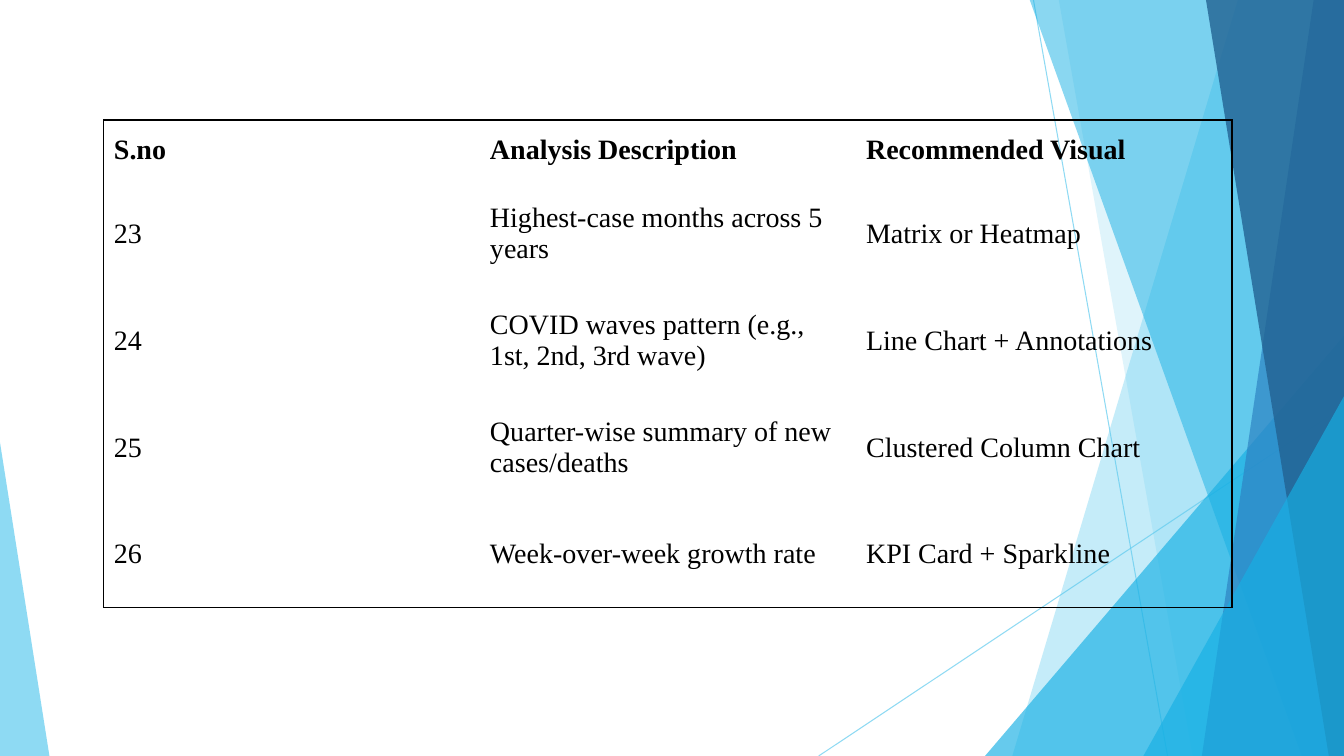
"""Build a slide with a table of recommended visuals over a faceted blue backdrop."""

from dataclasses import dataclass

from lxml.etree import SubElement
from pptx import Presentation
from pptx.dml.color import RGBColor
from pptx.enum.shapes import MSO_CONNECTOR, MSO_SHAPE
from pptx.enum.text import MSO_ANCHOR
from pptx.oxml.ns import qn
from pptx.shapes.autoshape import Shape
from pptx.shapes.connector import Connector
from pptx.slide import Slide
from pptx.table import _Cell
from pptx.util import Inches, Pt

SKY = RGBColor(0x5F, 0xCB, 0xEF)
CYAN = RGBColor(0x17, 0xB0, 0xE4)
BLUE = RGBColor(0x2E, 0x83, 0xC3)
NAVY = RGBColor(0x22, 0x62, 0x92)
BLACK = RGBColor(0, 0, 0)

WIDTH, HEIGHT = 13.33, 7.5
SHARD_TOP = -0.01
FONT = "Times New Roman"
COL_WIDTH = 3.73
HEADER_HEIGHT, ROW_HEIGHT = 0.6, 1.06


@dataclass(frozen=True)
class Ray:
    x1: float
    y1: float
    x2: float
    y2: float


@dataclass(frozen=True)
class Shard:
    top_x: float
    bottom_x: float
    color: RGBColor
    opacity: int


@dataclass(frozen=True)
class Corner:
    left: float
    top: float
    width: float
    apex: float
    color: RGBColor
    opacity: int


RAYS = [Ray(10.25, 0, 11.58, HEIGHT), Ray(WIDTH, 4.03, 8.12, HEIGHT)]

FACETS: list[Shard | Corner] = [
    Shard(12.28, 10.04, SKY, 36),
    Shard(10.5, 11.83, SKY, 20),
    Corner(9.77, 3.33, 3.56, 1, CYAN, 66),
    Shard(10.21, 12.91, CYAN, 50),
    Shard(13.03, 11.92, BLUE, 70),
    Shard(11.96, 13.18, NAVY, 80),
    Corner(11.34, 3.93, 1.99, 1, CYAN, 66),
    Corner(0, 4.39, 0.49, 0, SKY, 70),
]

ROWS = [
    ("S.no", "Analysis Description", "Recommended Visual"),
    ("23", "Highest-case months across 5 years", "Matrix or Heatmap"),
    ("24", "COVID waves pattern (e.g., 1st, 2nd, 3rd wave)", "Line Chart + Annotations"),
    ("25", "Quarter-wise summary of new cases/deaths", "Clustered Column Chart"),
    ("26", "Week-over-week growth rate", "KPI Card + Sparkline"),
]


def set_opacity(sp: Shape | Connector, percent: int) -> None:
    """Make the colour of a shape or line partly transparent."""
    color = sp.element.spPr.find(".//" + qn("a:srgbClr"))
    SubElement(color, qn("a:alpha")).set("val", str(percent * 1000))


def add_ray(s: Slide, ray: Ray) -> None:
    """Draw one thin line."""
    ends = (Inches(v) for v in (ray.x1, ray.y1, ray.x2, ray.y2))
    line = s.shapes.add_connector(MSO_CONNECTOR.STRAIGHT, *ends)
    line.line.color.rgb = SKY
    line.line.width = Pt(0.75)
    set_opacity(line, 70)
    SubElement(line.element.spPr, qn("a:effectLst"))


def add_shard(s: Slide, shard: Shard) -> Shape:
    """Draw a slanted panel that reaches the right edge."""
    top, bottom, right = Inches(SHARD_TOP), Inches(HEIGHT), Inches(WIDTH)
    builder = s.shapes.build_freeform(Inches(shard.top_x), top)
    builder.add_line_segments([(right, top), (right, bottom), (Inches(shard.bottom_x), bottom)])
    return builder.convert_to_shape()


def add_corner(s: Slide, corner: Corner) -> Shape:
    """Draw a triangle that stands on the bottom edge."""
    sp = s.shapes.add_shape(
        MSO_SHAPE.ISOSCELES_TRIANGLE,
        Inches(corner.left),
        Inches(corner.top),
        Inches(corner.width),
        Inches(HEIGHT - corner.top),
    )
    sp.adjustments[0] = corner.apex
    return sp


def add_facet(s: Slide, facet: Shard | Corner) -> None:
    """Draw one translucent facet."""
    sp = add_shard(s, facet) if isinstance(facet, Shard) else add_corner(s, facet)
    sp.shadow.inherit = False
    sp.fill.solid()
    sp.fill.fore_color.rgb = facet.color
    set_opacity(sp, facet.opacity)
    sp.line.fill.background()


def set_borders(cell: _Cell, edges: dict[str, bool]) -> None:
    """Rule the chosen edges of a cell and clear the others."""
    tc_pr = cell._tc.get_or_add_tcPr()
    for edge, ruled in edges.items():
        ln = SubElement(tc_pr, qn(f"a:{edge}"), w=str(Pt(1)))
        if ruled:
            fill = SubElement(ln, qn("a:solidFill"))
            SubElement(fill, qn("a:srgbClr")).set("val", str(BLACK))
        else:
            SubElement(ln, qn("a:noFill"))


def add_visuals_table(s: Slide) -> None:
    """Draw the table with a frame around its outside only."""
    n_rows, n_cols = len(ROWS), len(ROWS[0])
    height = HEADER_HEIGHT + ROW_HEIGHT * (n_rows - 1)
    frame = s.shapes.add_table(
        n_rows, n_cols, Inches(1.03), Inches(1.19), Inches(COL_WIDTH * n_cols), Inches(height)
    )
    table = frame.table
    table.first_row = table.horz_banding = False
    for column in table.columns:
        column.width = Inches(COL_WIDTH)
    for i, texts in enumerate(ROWS):
        table.rows[i].height = Inches(ROW_HEIGHT if i else HEADER_HEIGHT)
        for j, text in enumerate(texts):
            cell = table.cell(i, j)
            cell.text = text
            cell.vertical_anchor = MSO_ANCHOR.MIDDLE
            set_borders(
                cell,
                {"lnL": j == 0, "lnR": j == n_cols - 1, "lnT": i == 0, "lnB": i == n_rows - 1},
            )
            cell.fill.background()
            font = cell.text_frame.paragraphs[0].font
            font.name, font.size, font.bold = FONT, Pt(20), i == 0
            font.color.rgb = BLACK


def main() -> None:
    """Build and save the presentation."""
    prs = Presentation()
    prs.slide_width, prs.slide_height = Inches(WIDTH), Inches(HEIGHT)
    s = prs.slides.add_slide(prs.slide_layouts[6])
    for ray in RAYS:
        add_ray(s, ray)
    for facet in FACETS:
        add_facet(s, facet)
    add_visuals_table(s)
    prs.save("out.pptx")


if __name__ == "__main__":
    main()
